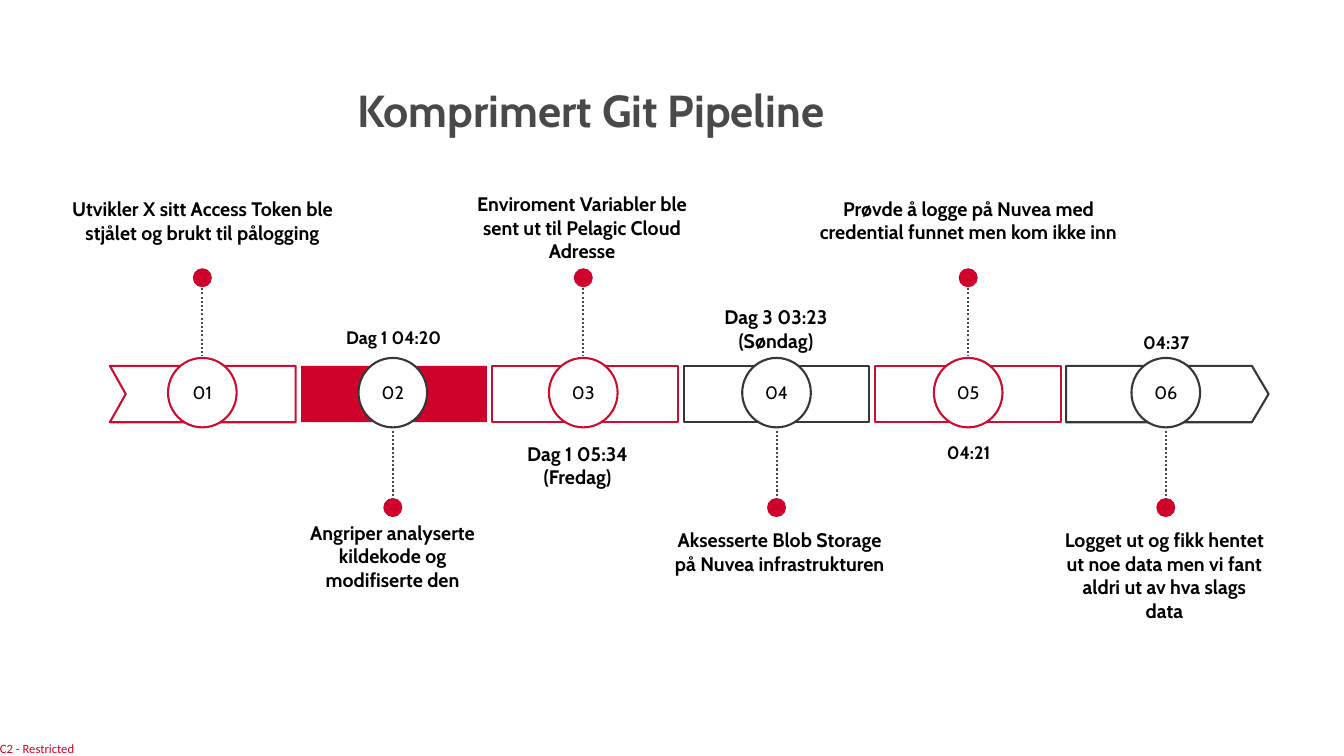
from dataclasses import dataclass
from typing import Optional

from lxml import etree
from pptx import Presentation
from pptx import util as u
from pptx.dml.color import RGBColor
from pptx.enum import dml, shapes, text
from pptx.oxml import ns

COLORS = {"red": "CF022B", "outline": "CD0C31", "dark": "373737",
          "title": "494949", "black": "000000", "white": "FFFFFF"}
FONT = "Cabin"

# Geometry in centimetres
BAR_LEFT, BAR_TOP, BAR_PITCH = 2.77, 9.22, 4.82
BAR_WIDTH, BAR_HEIGHT, NOTCH, TIP = 4.68, 1.42, 0.4, 0.42
CIRCLE_TOP, CIRCLE_WIDTH, CIRCLE_HEIGHT = 9.02, 1.73, 1.75
DOT = 0.48


@dataclass
class Label:
    words: str
    left: float
    top: float
    width: float
    height: float
    size: float = 14
    bold: bool = True
    color: str = "black"
    font: str = FONT
    centered: bool = True


@dataclass
class Step:
    center: float
    event: Label
    time: Optional[Label] = None


STEPS = [
    Step(5.1, Label("Utvikler X sitt Access Token ble stjålet og brukt til pålogging",
                    1.55, 4.85, 7.11, 1.88)),
    Step(9.9, Label("Angriper analyserte kildekode og modifiserte den",
                    7.09, 13, 5.61, 3.15),
         Label("Dag 1 04:20", 8.08, 8.1, 3.68, 0.79, 12.9)),
    Step(14.7, Label("Enviroment Variabler ble sent ut til Pelagic Cloud Adresse",
                     11.76, 4.72, 5.82, 2.46),
         Label("Dag 1 05:34 (Fredag)", 12.42, 11, 4.27, 1.55)),
    Step(19.57, Label("Aksesserte Blob Storage på Nuvea infrastrukturen",
                      16.69, 13.18, 5.92, 3.15),
         Label("Dag 3 03:23 (Søndag)", 17.42, 7.57, 4.27, 1.55)),
    Step(24.4, Label("Prøvde å logge på Nuvea med credential funnet men kom ikke inn",
                     20.04, 4.83, 8.74, 1.88),
         Label("04:21", 23.09, 11, 2.64, 0.79, 12.9)),
    Step(29.38, Label("Logget ut og fikk hentet ut noe data men vi fant aldri ut av hva slags data",
                      26.54, 13.18, 5.61, 2.67),
         Label("04:37", 28.07, 8.23, 2.64, 0.79, 12.9)),
]


def rgb(name: str) -> RGBColor:
    return RGBColor.from_string(COLORS[name])


def style(shape, fill: str, line: Optional[str] = None) -> None:
    shape.shadow.inherit = False
    shape.fill.solid()
    shape.fill.fore_color.rgb = rgb(fill)
    if line:
        shape.line.color.rgb = rgb(line)
        shape.line.width = u.Pt(1.5)
    else:
        shape.line.fill.background()


def add_preset(slide, kind, left: float, top: float, width: float, height: float,
               fill: str, line: Optional[str] = None) -> None:
    shape = slide.shapes.add_shape(kind, u.Cm(left), u.Cm(top), u.Cm(width), u.Cm(height))
    style(shape, fill, line)


def add_outline(slide, points: list, line: str) -> None:
    corners = [(u.Cm(x), u.Cm(y)) for x, y in points]
    builder = slide.shapes.build_freeform(*corners[0])
    builder.add_line_segments(corners[1:], close=True)
    style(builder.convert_to_shape(), "white", line)


def add_label(slide, label: Label):
    box = slide.shapes.add_textbox(u.Cm(label.left), u.Cm(label.top),
                                   u.Cm(label.width), u.Cm(label.height))
    frame = box.text_frame
    frame.word_wrap = True
    frame.text = label.words
    paragraph = frame.paragraphs[0]
    if label.centered:
        paragraph.alignment = text.PP_ALIGN.CENTER
    font = paragraph.runs[0].font
    font.name, font.size, font.bold = label.font, u.Pt(label.size), label.bold
    font.color.rgb = rgb(label.color)
    return frame


def add_stem(slide, x: float, top: float, bottom: float) -> None:
    stem = slide.shapes.add_connector(shapes.MSO_CONNECTOR.STRAIGHT,
                                      u.Cm(x), u.Cm(top), u.Cm(x), u.Cm(bottom))
    stem.line.color.rgb = rgb("title")
    stem.line.width = u.Pt(1.5)
    stem.line.dash_style = dml.MSO_LINE.ROUND_DOT
    etree.SubElement(stem._element.spPr, ns.qn("a:effectLst"))


def add_bar(slide, index: int, line: str) -> None:
    left = BAR_LEFT + index * BAR_PITCH
    right, bottom, middle = left + BAR_WIDTH, BAR_TOP + BAR_HEIGHT, BAR_TOP + BAR_HEIGHT / 2
    corners = [(right, bottom), (left, bottom), (left, BAR_TOP), (right, BAR_TOP)]
    if index == 0:
        add_outline(slide, corners[:2] + [(left + NOTCH, middle)] + corners[2:], line)
    elif index == len(STEPS) - 1:
        add_outline(slide, corners + [(right + TIP, middle)], line)
    else:
        filled = index == 1
        add_preset(slide, shapes.MSO_SHAPE.RECTANGLE, left, BAR_TOP, BAR_WIDTH, BAR_HEIGHT,
                   "red" if filled else "white", None if filled else line)


def add_step(slide, index: int, step: Step) -> None:
    above = index % 2 == 0
    line = "outline" if above else "dark"
    add_bar(slide, index, line)

    # Numbered circle
    left = step.center - CIRCLE_WIDTH / 2
    add_preset(slide, shapes.MSO_SHAPE.OVAL, left, CIRCLE_TOP, CIRCLE_WIDTH, CIRCLE_HEIGHT,
               "white", line)
    add_label(slide, Label(f"{index + 1:02}", left, 9.5, CIRCLE_WIDTH, 0.79, 12.9, False))

    # Dot and dotted stem, above or below the bar
    dot_top, stem_top, stem_bottom = (6.76, 7.26, 8.97) if above else (12.55, 10.85, 12.55)
    add_preset(slide, shapes.MSO_SHAPE.OVAL, step.center - DOT / 2, dot_top, DOT, DOT, "red")
    add_stem(slide, step.center, stem_top, stem_bottom)

    # Event and time
    add_label(slide, step.event)
    if step.time:
        add_label(slide, step.time)


def main() -> None:
    presentation = Presentation()
    presentation.slide_width, presentation.slide_height = u.Cm(33.87), u.Cm(19.05)
    slide = presentation.slides.add_slide(presentation.slide_layouts[6])

    # Classification mark
    mark = add_label(slide, Label("C2 - Restricted", 0, 18.67, 1.96, 0.38, 9, False,
                                  "red", "Calibri", False))
    mark.word_wrap = False
    mark.margin_left = mark.margin_top = mark.margin_right = mark.margin_bottom = 0

    # Title
    title = add_label(slide, Label("Komprimert Git Pipeline", 8.76, 2.11, 24.5, 1.52, 32,
                                   color="title", centered=False))
    title.paragraphs[0].line_spacing = 0.9

    # Timeline
    for index, step in enumerate(STEPS):
        add_step(slide, index, step)

    presentation.save("out.pptx")


if __name__ == "__main__":
    main()
